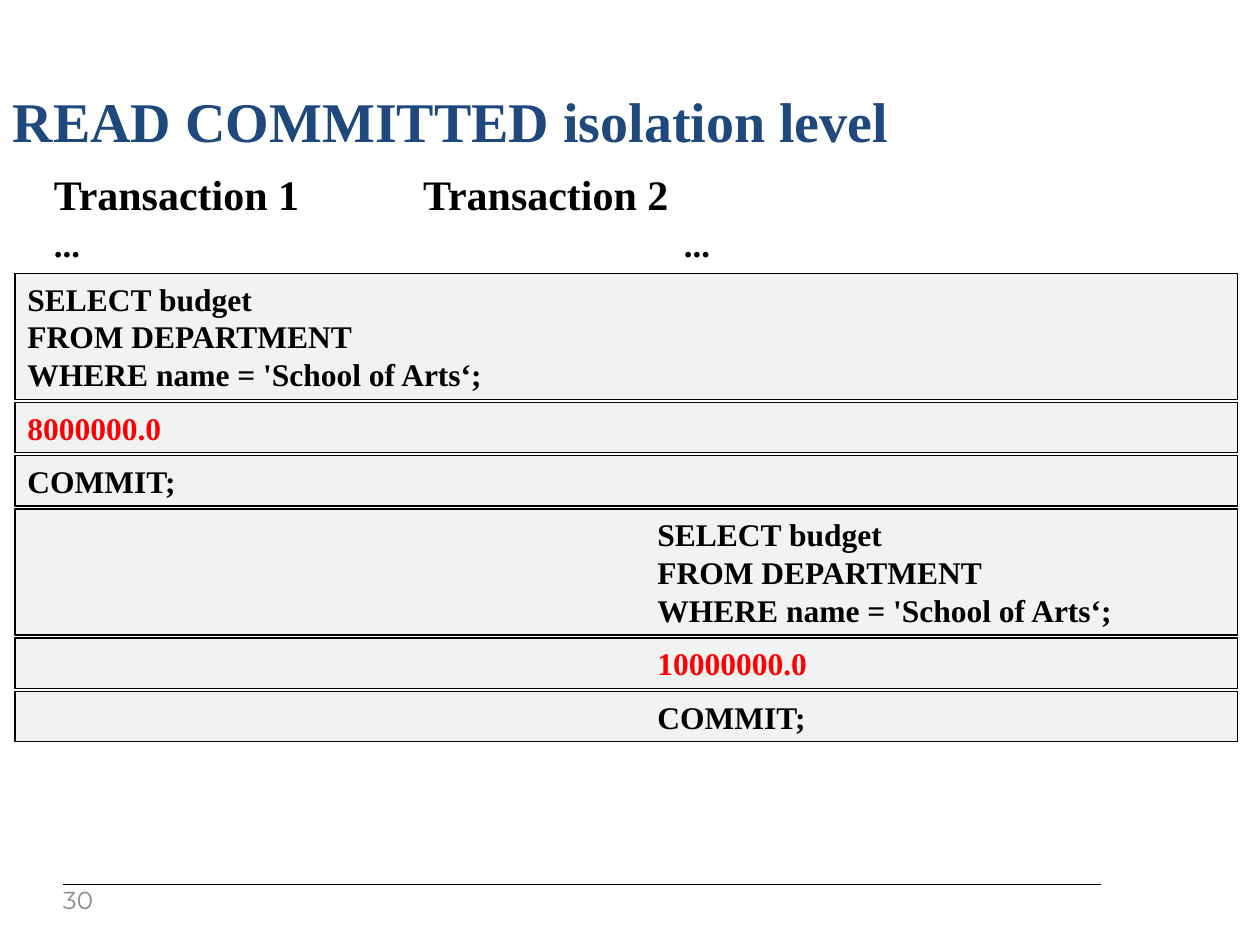
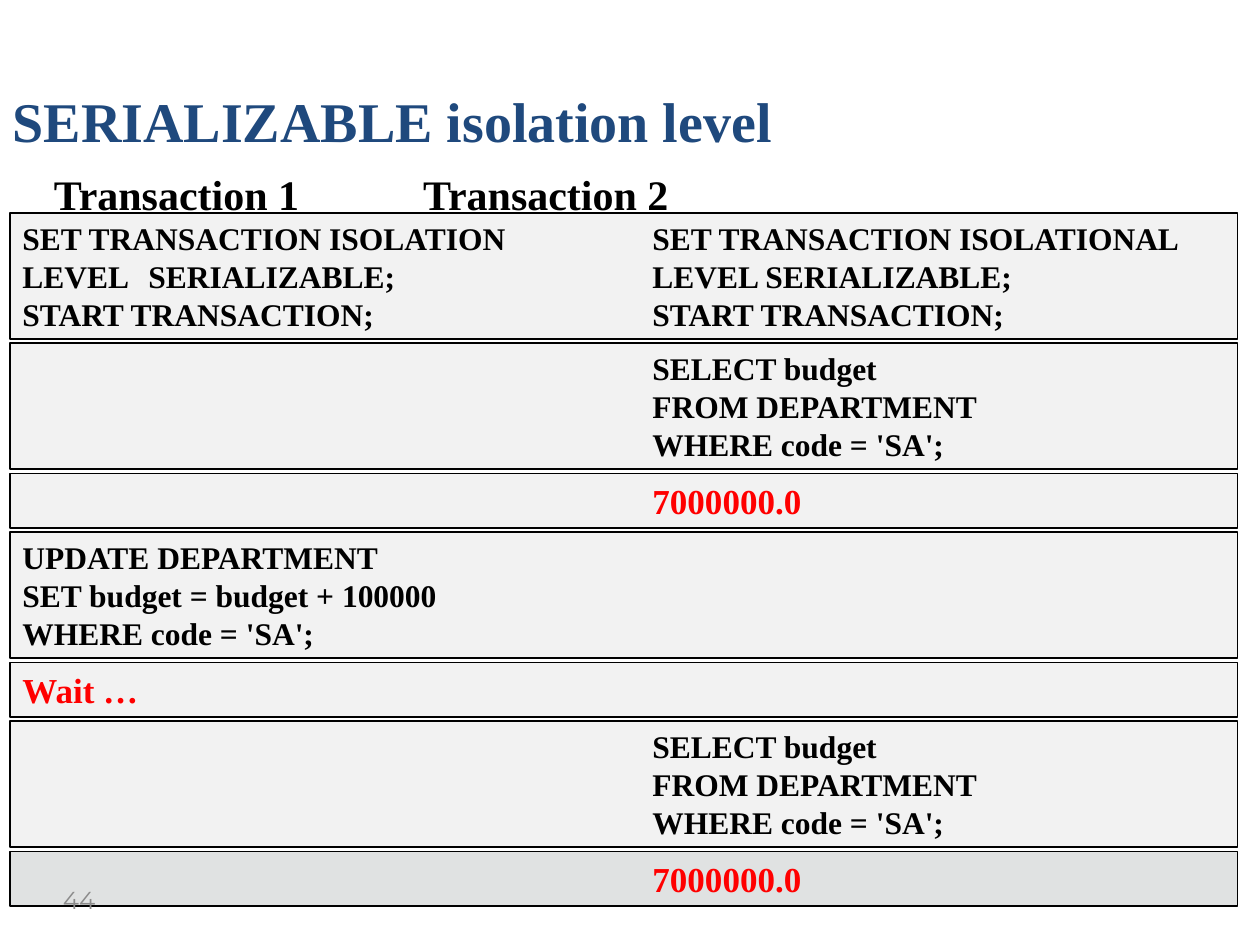
from pptx import Presentation
from pptx.dml.color import RGBColor
from pptx.enum.shapes import MSO_CONNECTOR as Connector, MSO_SHAPE as Shape
from pptx.enum.text import MSO_ANCHOR as Anchor, MSO_AUTO_SIZE as AutoSize, PP_ALIGN as Align
from pptx.oxml.ns import qn
from pptx.util import Pt
from lxml.etree import SubElement

SERIF = "Times New Roman"
BLACK, RED, GREY, NAVY = "000000", "FF0000", "8B8B8B", "1F497D"
PALE, DARKER = "F2F2F2", "E0E2E2"

TITLE = dict(name=SERIF, size=Pt(32), bold=True, color=NAVY)
HEADING = dict(name=SERIF, size=Pt(24), bold=True, color=BLACK)
DOTS = dict(HEADING, size=Pt(20))
CODE = dict(HEADING, size=Pt(18))
RESULT = dict(CODE, color=RED)
BIG_RESULT = dict(RESULT, size=Pt(20))
NUMBER = dict(name="Montserrat", size=Pt(14), bold=False, color=GREY)

LEVEL_TAB, SECOND_COLUMN, SECOND_HEADING = 72, 360, 211
HEADINGS = ("Transaction 1", "Transaction 2")

BY_NAME = ["SELECT budget", "FROM DEPARTMENT", "WHERE name = 'School of Arts‘;"]
BY_CODE = ["SELECT budget", "FROM DEPARTMENT", "WHERE code = 'SA';"]
UPDATE = ["UPDATE DEPARTMENT", "SET budget = budget + 100000", "WHERE code = 'SA';"]
START = [
    ("SET TRANSACTION ISOLATION", "SET TRANSACTION ISOLATIONAL"),
    ("LEVEL\tSERIALIZABLE;", "LEVEL SERIALIZABLE;"),
    ("START TRANSACTION;", "START TRANSACTION;"),
]


def first(*lines):
    return [(line, "") for line in lines]


def second(*lines):
    return [("", line) for line in lines]


SLIDES = [
    dict(title="READ COMMITTED isolation level", number="30", dots=True, rule=True,
         left=8.64, top=156.24, width=698.4, gap=1.7, rows=[
             (first(*BY_NAME), CODE, PALE),
             (first("8000000.0"), RESULT, PALE),
             (first("COMMIT;"), CODE, PALE),
             (second(*BY_NAME), CODE, PALE),
             (second("10000000.0"), RESULT, PALE),
             (second("COMMIT;"), CODE, PALE),
         ]),
    dict(title="SERIALIZABLE isolation level", number="44", dots=False, rule=False,
         left=5.76, top=121.68, width=701.28, gap=2.4, rows=[
             (START, CODE, PALE),
             (second(*BY_CODE), CODE, PALE),
             (second("7000000.0"), BIG_RESULT, PALE),
             (first(*UPDATE), CODE, PALE),
             (first("Wait …"), BIG_RESULT, PALE),
             (second(*BY_CODE), CODE, PALE),
             (second("7000000.0"), BIG_RESULT, DARKER),
         ]),
]


def color(code):
    return RGBColor.from_string(code)


def place(shape, left, top, width, height):
    for name, value in dict(left=left, top=top, width=width, height=height).items():
        setattr(shape, name, Pt(value))


def add_span(para, text, style):
    span = para.add_run()
    span.text = text
    for name, value in style.items():
        if name == "color":
            span.font.color.rgb = color(value)
        else:
            setattr(span.font, name, value)


def write(shape, lines, style, column=SECOND_COLUMN, **frame_format):
    frame = shape.text_frame
    settings = dict(word_wrap=True, auto_size=AutoSize.NONE, vertical_anchor=Anchor.TOP)
    for name, value in (settings | frame_format).items():
        setattr(frame, name, value)
    for index, (left, right) in enumerate(lines):
        para = frame.add_paragraph() if index else frame.paragraphs[0]
        para.alignment = Align.LEFT
        add_span(para, f"{left}\t{right}" if right else left, style)
        if right:
            stops = SubElement(para._p.get_or_add_pPr(), qn("a:tabLst"))
            for stop in [LEVEL_TAB] * left.count("\t") + [column]:
                SubElement(stops, qn("a:tab"), pos=str(Pt(stop)), algn="l")


def add_text(page, bounds, lines, style, **options):
    box = page.shapes.add_textbox(*map(Pt, bounds))
    write(box, lines, style, **options)


def add_rule(page):
    rule = page.shapes.add_connector(
        Connector.STRAIGHT, Pt(36), Pt(505.44), Pt(629.28), Pt(505.44))
    rule.line.color.rgb = color(BLACK)
    rule.line.width = Pt(0.75)
    SubElement(rule._element.spPr, qn("a:effectLst"))


def add_rows(page, content):
    top = content["top"]
    for lines, style, fill in content["rows"]:
        height = len(lines) * style["size"].pt * 1.2 + 7.2
        box = page.shapes.add_shape(
            Shape.RECTANGLE, Pt(content["left"]), Pt(top), Pt(content["width"]), Pt(height))
        box.shadow.inherit = False
        box.fill.solid()
        box.fill.fore_color.rgb = color(fill)
        box.line.color.rgb = color(BLACK)
        box.line.width = Pt(0.75)
        write(box, lines, style, auto_size=AutoSize.SHAPE_TO_FIT_TEXT)
        top += height + content["gap"]


def add_page(deck, content):
    page = deck.slides.add_slide(deck.slide_layouts[5])
    if content["rule"]:
        add_rule(page)
    title = page.shapes.title
    place(title, 0, 44.64, 720, 48.24)
    write(title, first(content["title"]), TITLE, vertical_anchor=Anchor.MIDDLE)
    add_text(page, (23.76, 92.88, 671.76, 36), [HEADINGS], HEADING, column=SECOND_HEADING)
    if content["dots"]:
        add_text(page, (23.76, 123.84, 671.76, 31), [("...", "...")], DOTS)
    add_rows(page, content)
    add_text(page, (36, 508.32, 28.8, 15.12), first(content["number"]), NUMBER,
             vertical_anchor=Anchor.MIDDLE, margin_left=0, margin_top=0,
             margin_right=Pt(7.2), margin_bottom=Pt(3.6))


def main():
    deck = Presentation()
    deck.slide_width, deck.slide_height = Pt(720), Pt(540)
    for content in SLIDES:
        add_page(deck, content)
    deck.save("out.pptx")


if __name__ == "__main__":
    main()
